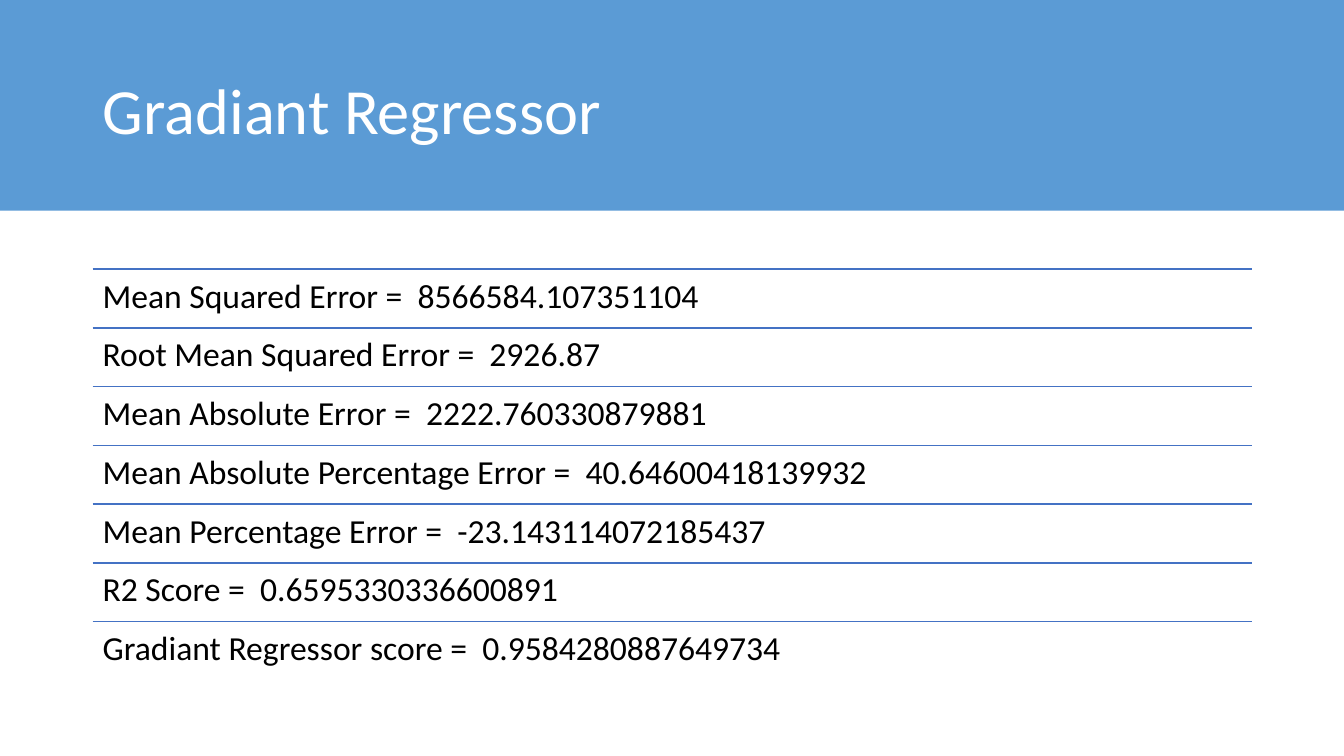
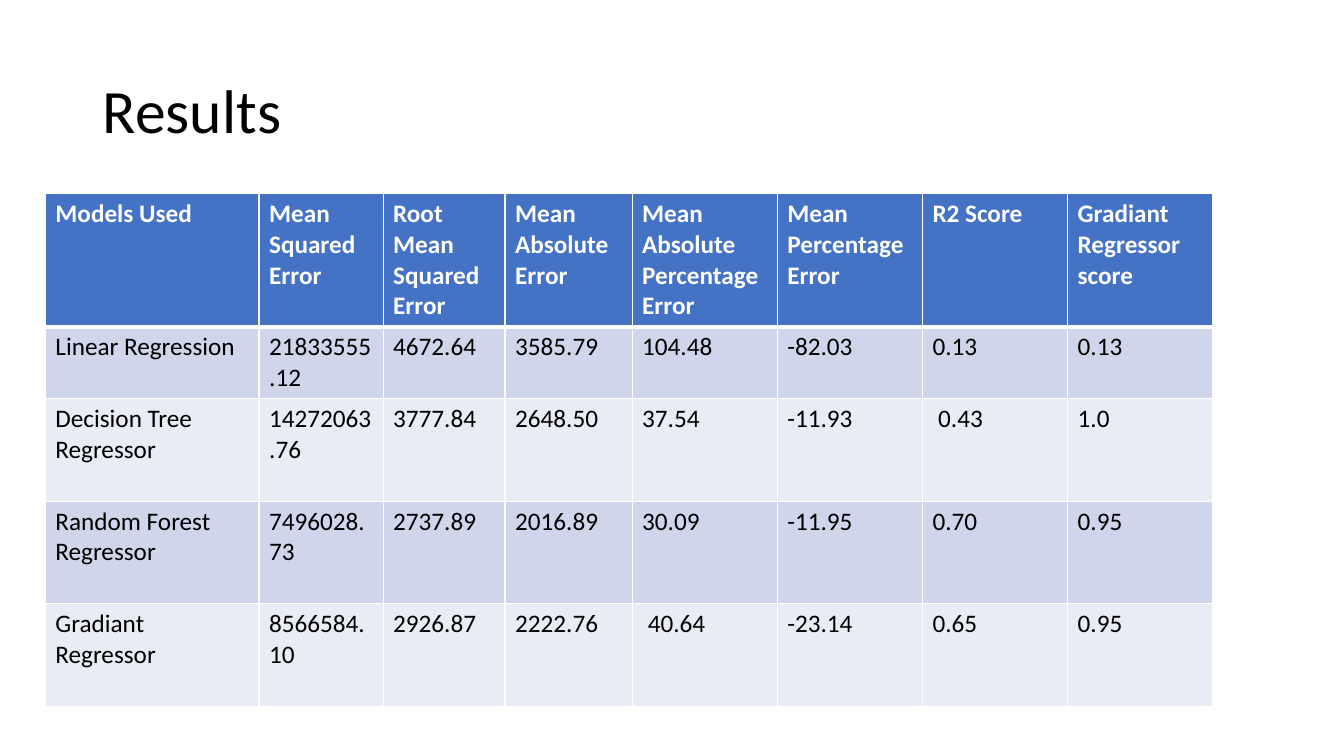
import pptx
import pptx.util
import pptx.dml.color
import pptx.enum.shapes
import pptx.enum.text
import pptx.oxml.ns
import lxml.etree

WIDE, HIGH = 13.33, 7.5
EDGE, SPAN = 0.92, 11.5
FONT = "Calibri"
BAND, BLUE, WHITE, BLACK = "5B9BD5", "4472C4", "FFFFFF", "000000"
STRIPES = ("CFD5EA", "E9EBF5")

SCORES = [
    ("Mean Squared Error", "8566584.107351104"),
    ("Root Mean Squared Error", "2926.87"),
    ("Mean Absolute Error", "2222.760330879881"),
    ("Mean Absolute Percentage Error", "40.64600418139932"),
    ("Mean Percentage Error", "-23.143114072185437"),
    ("R2 Score", "0.6595330336600891"),
    ("Gradiant Regressor score", "0.9584280887649734"),
]
MODELS = [
    ("Linear Regression", "21833555.12", "4672.64", "3585.79", "104.48", "-82.03", "0.13", "0.13"),
    ("Decision Tree Regressor", "14272063.76", "3777.84", "2648.50", "37.54", "-11.93", " 0.43", "1.0"),
    ("Random Forest Regressor", "7496028.73", "2737.89", "2016.89", "30.09", "-11.95", "0.70", "0.95"),
    ("Gradiant Regressor", "8566584.10", "2926.87", "2222.76", " 40.64", "-23.14", "0.65", "0.95"),
]
COLS = [2.12, 1.23, 1.21, 1.26] + [1.44] * 4
ROWS = [1.31, 0.71] + [1.02] * 3


def inch(*sizes):
    return [pptx.util.Inches(size) for size in sizes]


def tint(text):
    return pptx.dml.color.RGBColor.from_string(text)


def paint(fill, color):
    fill.solid()
    fill.fore_color.rgb = tint(color)


def write(frame, text, size, color, bold=False, lead=None):
    frame.text = text
    frame.word_wrap = True
    para = frame.paragraphs[0]
    para.alignment = pptx.enum.text.PP_ALIGN.LEFT
    para.line_spacing = lead
    font = para.font
    font.name, font.size, font.bold = FONT, pptx.util.Pt(size), bold
    font.color.rgb = tint(color)


def start(deck, text, size, color):
    """Add a slide with its title set."""
    slide = deck.slides.add_slide(deck.slide_layouts[5])
    title = slide.shapes.title
    title.left, title.top, title.width, title.height = inch(EDGE, 0.4, SPAN, 1.45)
    frame = title.text_frame
    write(frame, text, size, color, lead=0.9)
    frame.auto_size = pptx.enum.text.MSO_AUTO_SIZE.NONE
    frame.vertical_anchor = pptx.enum.text.MSO_ANCHOR.MIDDLE
    return slide


def band(slide, height):
    """Place a full-width strip behind the title."""
    strip = slide.shapes.add_shape(
        pptx.enum.shapes.MSO_SHAPE.RECTANGLE, *inch(0, 0, WIDE, height))
    strip.shadow.inherit = False
    paint(strip.fill, BAND)
    strip.line.fill.background()
    slide.shapes.title._element.addprevious(strip._element)


def rule(slide, left, top, width):
    line = slide.shapes.add_connector(
        pptx.enum.shapes.MSO_CONNECTOR.STRAIGHT, *inch(left, top, left + width, top))
    line.line.color.rgb = tint(BLUE)
    line.line.width = pptx.util.Pt(1)
    lxml.etree.SubElement(line._element.spPr, pptx.oxml.ns.qn("a:effectLst"))


def ruled(slide, items, left, top, width, height):
    """Share the box among the items, each under a line."""
    step = height / len(items)
    for index, (name, value) in enumerate(items):
        y = top + index * step
        rule(slide, left, y, width)
        frame = slide.shapes.add_textbox(*inch(left, y, width, step)).text_frame
        write(frame, f"{name} =  {value}", 24, BLACK, lead=0.9)
        (frame.margin_left, frame.margin_top,
         frame.margin_right, frame.margin_bottom) = inch(0.1, 0.1, 0.1, 0.1)


def border(cell, top, bottom):
    """Draw white cell edges, 1 point at the sides."""
    props = cell._tc.get_or_add_tcPr()
    sides = {"lnL": 1, "lnR": 1, "lnT": top, "lnB": bottom}
    for place, (side, width) in enumerate(sides.items()):
        edge = lxml.etree.Element(
            pptx.oxml.ns.qn("a:" + side), w=str(pptx.util.Pt(width)))
        fill = lxml.etree.SubElement(edge, pptx.oxml.ns.qn("a:solidFill"))
        lxml.etree.SubElement(fill, pptx.oxml.ns.qn("a:srgbClr"), val=WHITE)
        props.insert(place, edge)


def grid(slide, data, left, top):
    table = slide.shapes.add_table(
        len(ROWS), len(COLS), *inch(left, top, sum(COLS), sum(ROWS))).table
    for col, width in zip(table.columns, COLS):
        col.width = pptx.util.Inches(width)
    for r, (row, height) in enumerate(zip(table.rows, ROWS)):
        row.height = pptx.util.Inches(height)
        head = r == 0
        for cell, text in zip(row.cells, data[r]):
            write(cell.text_frame, text, 18, WHITE if head else BLACK, head)
            paint(cell.fill, BLUE if head else STRIPES[(r - 1) % 2])
            border(cell, 3 if r == 1 else 1, 3 if head else 1)


def scores(deck):
    slide = start(deck, "Gradiant Regressor", 46, WHITE)
    band(slide, 2.09)
    ruled(slide, SCORES, EDGE, 2.67, SPAN, 4.08)


def results(deck):
    slide = start(deck, "Results", 44, BLACK)
    heads = ["Models Used"] + [name for name, _ in SCORES]
    grid(slide, [heads] + MODELS, 0.45, 1.92)


def main():
    deck = pptx.Presentation()
    deck.slide_width, deck.slide_height = inch(WIDE, HIGH)
    scores(deck)
    results(deck)
    deck.save("out.pptx")


if __name__ == "__main__":
    main()
